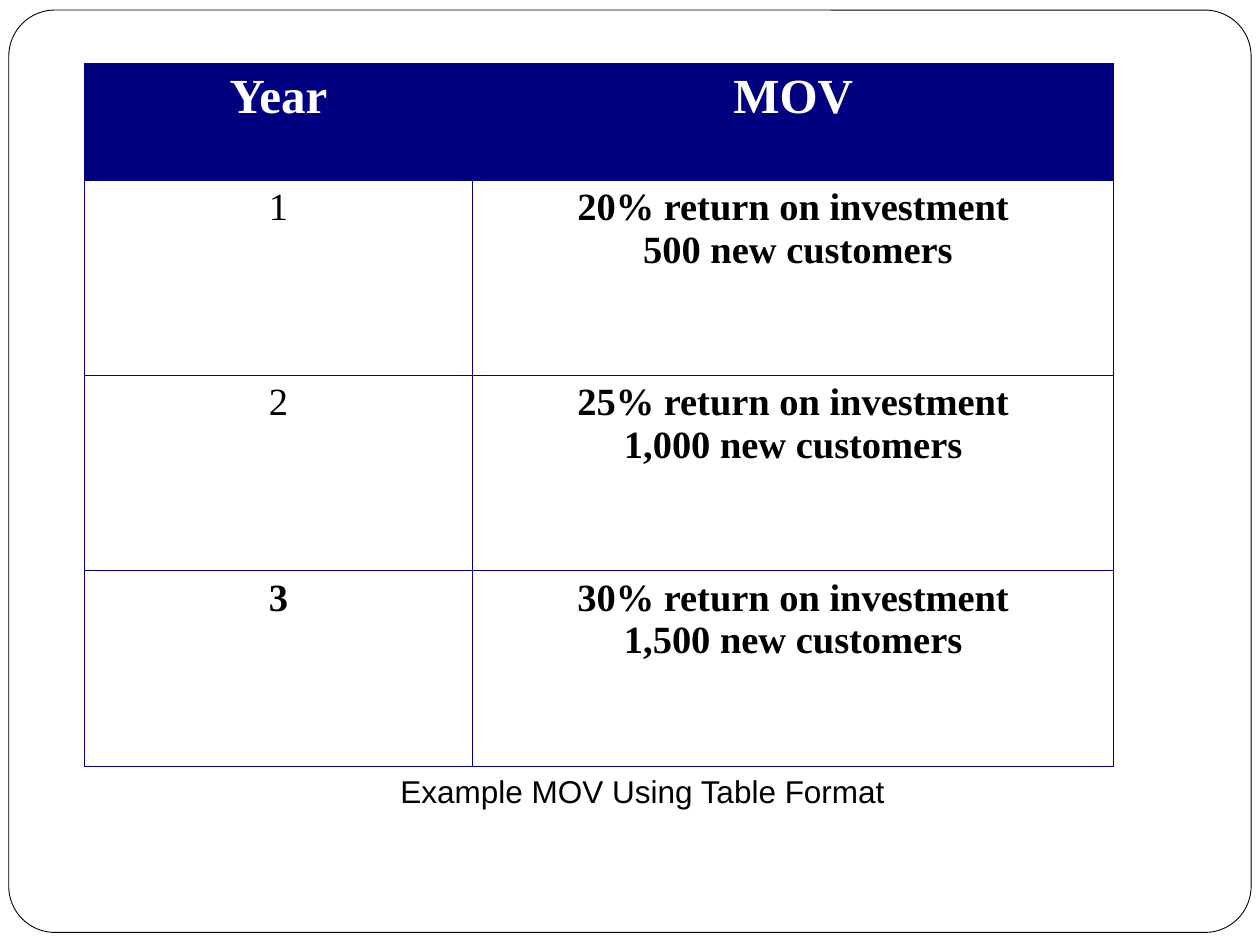
from lxml import etree
from pptx import Presentation
from pptx.dml.color import RGBColor
from pptx.enum.shapes import MSO_SHAPE
from pptx.enum.text import MSO_AUTO_SIZE, PP_ALIGN
from pptx.oxml.ns import qn
from pptx.util import Inches, Pt

ROUNDED = MSO_SHAPE.ROUNDED_RECTANGLE
CENTER = PP_ALIGN.CENTER
LEFT = PP_ALIGN.LEFT
FIT_SHAPE = MSO_AUTO_SIZE.SHAPE_TO_FIT_TEXT

NAVY, WHITE, BLACK = "000080", "FFFFFF", "000000"
SERIF, SANS = "Times New Roman", "Arial"
COLUMN_WIDTHS = (3.08, 5.09)
ROW_HEIGHTS = (0.93, 1.55, 1.55, 1.55)
TABLE_LEFT, TABLE_TOP = 0.67, 0.5
YEARS = (
    ("1", False, ("20% return on investment", " 500 new customers")),
    ("2", False, ("25% return on investment", "1,000 new customers")),
    ("3", True, ("30% return on investment", "1,500 new customers")),
)


def color(value):
    """Turn a hex string into a colour."""
    return RGBColor.from_string(value)


def write_lines(text_frame, lines, font_name, size, text_color, bold=False, align=CENTER):
    """Write each line as a paragraph with one formatted run."""
    for index, line in enumerate(lines):
        paragraph = text_frame.add_paragraph() if index else text_frame.paragraphs[0]
        paragraph.alignment = align
        run = paragraph.add_run()
        run.text = line
        run.font.name = font_name
        run.font.size = Pt(size)
        run.font.bold = bold
        run.font.color.rgb = color(text_color)


def add_frame(slide):
    """Draw the rounded frame around the slide."""
    shape = slide.shapes.add_shape(
        ROUNDED, Inches(0.07), Inches(0.08), Inches(9.86), Inches(7.32)
    )
    shape.adjustments[0] = 0.05
    shape.shadow.inherit = False
    shape.fill.solid()
    shape.fill.fore_color.rgb = color(WHITE)
    shape.line.color.rgb = color(BLACK)
    shape.line.width = Pt(0.5)


def set_borders(cell, line_color, width):
    """Give all four sides of a cell the same solid border."""
    properties = cell._tc.get_or_add_tcPr()
    for side in ("a:lnL", "a:lnR", "a:lnT", "a:lnB"):
        line = etree.SubElement(properties, qn(side), w=str(Pt(width)))
        fill = etree.SubElement(line, qn("a:solidFill"))
        etree.SubElement(fill, qn("a:srgbClr"), val=line_color)


def fill_cell(cell, lines, size, text_color, bold, background=None):
    """Set the borders, fill and text of one cell."""
    set_borders(cell, NAVY, 0.45)
    if background:
        cell.fill.solid()
        cell.fill.fore_color.rgb = color(background)
    else:
        cell.fill.background()
    write_lines(cell.text_frame, lines, SERIF, size, text_color, bold)


def add_value_table(slide):
    """Add the table of measurable value per year."""
    table = slide.shapes.add_table(
        len(ROW_HEIGHTS), len(COLUMN_WIDTHS),
        Inches(TABLE_LEFT), Inches(TABLE_TOP),
        Inches(sum(COLUMN_WIDTHS)), Inches(sum(ROW_HEIGHTS)),
    ).table
    for column, width in zip(table.columns, COLUMN_WIDTHS):
        column.width = Inches(width)
    for row, height in zip(table.rows, ROW_HEIGHTS):
        row.height = Inches(height)
    for index, heading in enumerate(("Year", "MOV")):
        fill_cell(table.cell(0, index), [heading], 28, WHITE, True, NAVY)
    for index, (year, bold, goals) in enumerate(YEARS, start=1):
        fill_cell(table.cell(index, 0), [year], 22, BLACK, bold)
        fill_cell(table.cell(index, 1), goals, 22, BLACK, True)


def add_caption(slide):
    """Add the caption below the table."""
    top = TABLE_TOP + sum(ROW_HEIGHTS)
    box = slide.shapes.add_textbox(Inches(3.08), Inches(top), Inches(4.07), Inches(0.4))
    box.text_frame.word_wrap = False
    box.text_frame.auto_size = FIT_SHAPE
    write_lines(
        box.text_frame, ["Example MOV Using Table Format"], SANS, 18, BLACK, align=LEFT
    )


def main():
    """Build and save the slide."""
    presentation = Presentation()
    presentation.slide_width = Inches(10)
    presentation.slide_height = Inches(7.5)
    slide = presentation.slides.add_slide(presentation.slide_layouts[6])
    add_frame(slide)
    add_value_table(slide)
    add_caption(slide)
    presentation.save("out.pptx")


if __name__ == "__main__":
    main()
